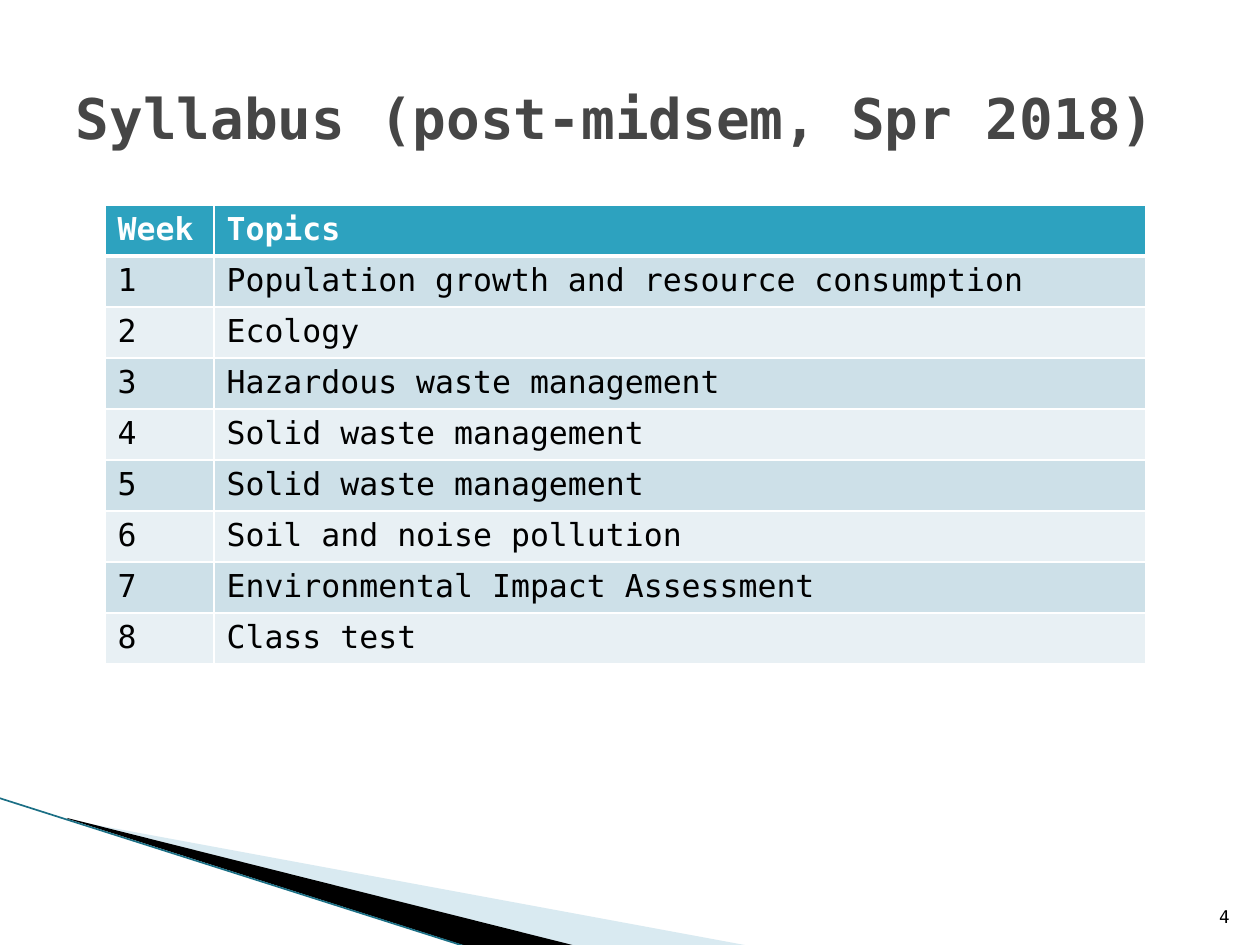
import pptx
import pptx.dml.color
import pptx.enum.text
import pptx.oxml
import pptx.oxml.ns
import pptx.util

PX = 914400 / 126
FONT = "DejaVu Sans Mono"
TOPICS = [
    "Population growth and resource consumption",
    "Ecology",
    "Hazardous waste management",
    "Solid waste management",
    "Solid waste management",
    "Soil and noise pollution",
    "Environmental Impact Assessment",
    "Class test",
]


def px(*values):
    """Turn pixel lengths into a list of EMU."""
    return [round(v * PX) for v in values]


def rgb(value):
    return pptx.dml.color.RGBColor.from_string(value)


def sub(parent, tag, **attrs):
    """Append a DrawingML element to parent."""
    el = pptx.oxml.parse_xml(f"<a:{tag} {pptx.oxml.ns.nsdecls('a')}/>")
    for name, value in attrs.items():
        el.set(name, str(value))
    parent.append(el)
    return el


def set_text(tf, text, size, color, bold=False):
    tf.text = text
    p = tf.paragraphs[0]
    f = p.runs[0].font
    f.name, f.size, f.bold = FONT, pptx.util.Pt(size), bold
    f.color.rgb = rgb(color)
    return p


def add_wedge(s, points, color, alpha=100):
    fb = s.shapes.build_freeform(*points[0], scale=PX)
    fb.add_line_segments(points[1:])
    sp = fb.convert_to_shape()
    sp.shadow.inherit = False
    sp.line.fill.background()
    sp.fill.solid()
    sp.fill.fore_color.rgb = rgb(color)
    if alpha < 100:
        clr = sp.fill._xPr.find(".//" + pptx.oxml.ns.qn("a:srgbClr"))
        sub(clr, "alpha", val=alpha * 1000)


def add_line(s, start, end, color, width):
    c = s.shapes.add_connector(1, *px(*start, *end))
    c.line.color.rgb = rgb(color)
    c.line.width = pptx.util.Pt(width)
    sub(c._element.spPr, "effectLst")


def set_borders(cell, widths):
    """Draw white borders; widths are points for left, right, top, bottom."""
    tcPr = cell._tc.get_or_add_tcPr()
    for side, width in zip("LRTB", widths):
        ln = sub(tcPr, "ln" + side, w=pptx.util.Pt(width))
        sub(sub(ln, "solidFill"), "srgbClr", val="FFFFFF")


def add_syllabus(s):
    rows = [("Week", "Topics")]
    rows += [(str(n), topic) for n, topic in enumerate(TOPICS, 1)]
    tbl = s.shapes.add_table(len(rows), 2, *px(105, 205, 1041, 51 * len(rows))).table
    tbl.columns[0].width, tbl.columns[1].width = px(109, 932)
    for i, row in enumerate(rows):
        header = i == 0
        fill = "2DA2BF" if header else ("E8F0F4", "CDE0E8")[i % 2]
        for j, text in enumerate(row):
            cell = tbl.cell(i, j)
            set_borders(cell, (1, 1, 3 if i == 1 else 1, 3 if header else 1))
            cell.fill.solid()
            cell.fill.fore_color.rgb = rgb(fill)
            set_text(cell.text_frame, text, 18, "FFFFFF" if header else "000000", header)


def set_title(s, text):
    sp = s.shapes.title
    sp.left, sp.top, sp.width, sp.height = px(63, 38, 1134, 158)
    sp.text_frame.vertical_anchor = pptx.enum.text.MSO_ANCHOR.MIDDLE
    p = set_text(sp.text_frame, text, 32, "464646", True)
    p.alignment = pptx.enum.text.PP_ALIGN.LEFT


def add_page_number(s, text):
    tf = s.shapes.add_textbox(*px(1192, 883, 50, 50)).text_frame
    tf.word_wrap = True
    tf.vertical_anchor = pptx.enum.text.MSO_ANCHOR.BOTTOM
    set_text(tf, text, 10, "000000").alignment = pptx.enum.text.PP_ALIGN.RIGHT


def main():
    prs = pptx.Presentation()
    prs.slide_width, prs.slide_height = px(1260, 945)
    s = prs.slides.add_slide(prs.slide_layouts[5])
    add_wedge(s, [(69, 820), (750, 946), (575, 946), (69, 819)], "A0CBDC", 40)
    add_wedge(s, [(67, 818), (576, 946), (469, 947), (68, 819)], "000000")
    add_line(s, (-1, 798), (467, 947), "1B6F85", 0.95)
    add_syllabus(s)
    add_page_number(s, "4")
    set_title(s, "Syllabus (post-midsem, Spr 2018)")
    prs.save("out.pptx")


if __name__ == "__main__":
    main()
